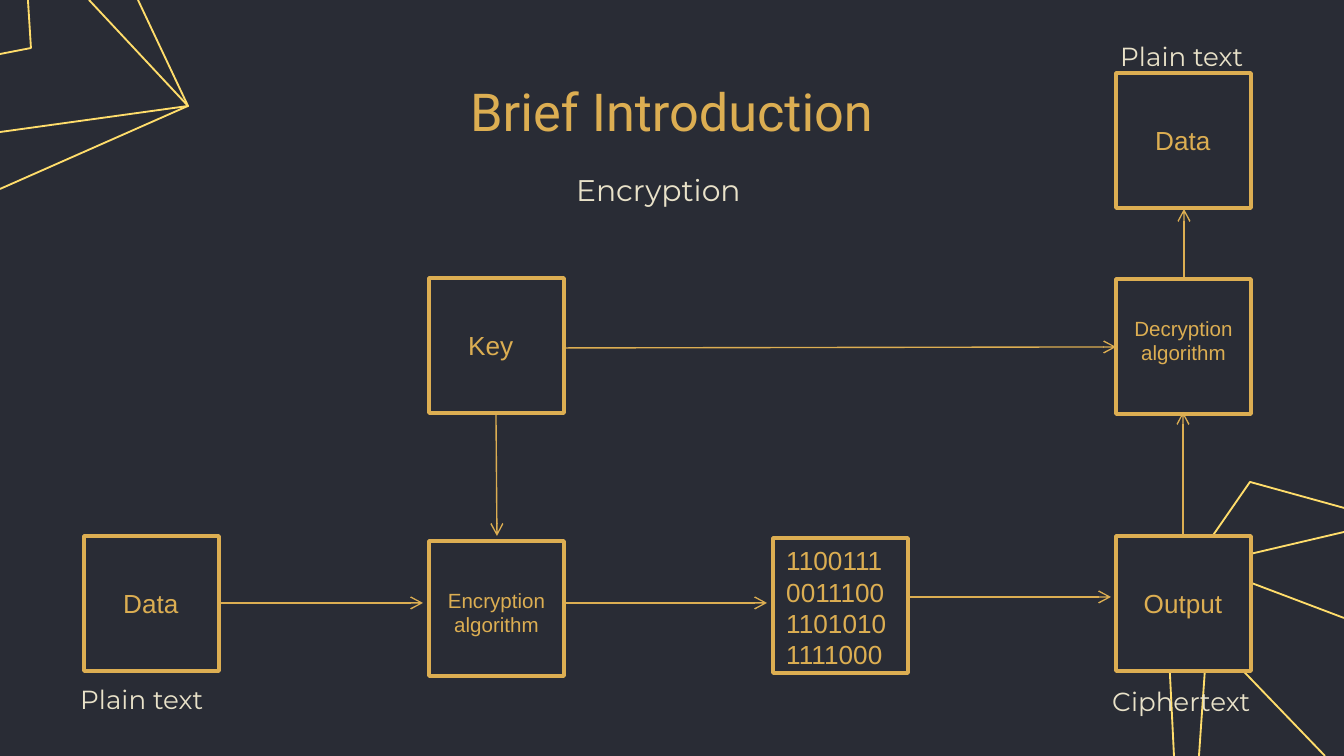
from lxml import etree
from pptx import Presentation
from pptx.dml.color import RGBColor
from pptx.enum.shapes import MSO_CONNECTOR, MSO_SHAPE
from pptx.enum.text import MSO_ANCHOR, PP_ALIGN
from pptx.oxml.ns import qn
from pptx.util import Emu, Pt

RECTANGLE = MSO_SHAPE.RECTANGLE
STRAIGHT = MSO_CONNECTOR.STRAIGHT
LEFT, CENTER = PP_ALIGN.LEFT, PP_ALIGN.CENTER
TOP, MIDDLE = MSO_ANCHOR.TOP, MSO_ANCHOR.MIDDLE

DARK = RGBColor(0x29, 0x2C, 0x35)
GOLD = RGBColor(0xDC, 0xAE, 0x52)
BRIGHT_GOLD = RGBColor(0xFF, 0xDD, 0x6B)
CREAM = RGBColor(0xE9, 0xE2, 0xC9)

SLIDE_WIDTH, SLIDE_HEIGHT = 1344, 756
SCALE = 9144000 / SLIDE_WIDTH
BOX_SIZE = 135

# Content: box corner, label, label rectangle relative to the box, size, alignment
BOXES = [
    ((84, 536), "Data", (26, 45, 83, 46), 14, LEFT),
    ((429, 278), "Key", (26, 45, 83, 46), 14, LEFT),
    ((429, 541), "Encryption algorithm", (0, 40, 135, 63), 11, CENTER),
    ((773, 538), "1100111001110011010101111000", (0, 0, 135, 140), 14, LEFT),
    ((1116, 536), "Output", (12, 45, 110, 46), 14, CENTER),
    ((1116, 279), "Decryption algorithm", (0, 30, 135, 95), 11, CENTER),
    ((1116, 73), "Data", (26, 45, 83, 46), 14, LEFT),
]
CAPTIONS = [
    ("Encryption", (563, 165, 194, 50), 16),
    ("Plain text", (67, 677, 152, 46), 14),
    ("Ciphertext", (1099, 679, 167, 46), 14),
    ("Plain text", (1107, 34, 152, 46), 14),
]
ARROWS = [
    ((219, 603), (423, 603)),
    ((496, 412), (497, 536)),
    ((564, 603), (767, 603)),
    ((907, 597), (1111, 597)),
    ((1183, 536), (1183, 412)),
    ((564, 348), (1116, 347)),
    ((1184, 279), (1184, 209)),
]
CORNER_LINES = [
    [(28, 0), (31, 48), (0, 54)],
    [(89, 0), (188, 106), (0, 189)],
    [(138, 0), (188, 106), (0, 132)],
    [(1199, 756), (1212, 568), (1344, 618)],
    [(1174, 756), (1165, 574), (1344, 532)],
    [(1344, 508), (1250, 482), (1171, 596), (1325, 756)],
]


def px(*lengths):
    return [Emu(round(length * SCALE)) for length in lengths]


def write_text(frame, text, *, size, font, color, align=LEFT, anchor=TOP, wrap=True):
    frame.word_wrap = wrap
    frame.vertical_anchor = anchor
    paragraph = frame.paragraphs[0]
    paragraph.alignment = align
    run = paragraph.add_run()
    run.text = text
    run.font.size = Pt(size)
    run.font.name = font
    run.font.color.rgb = color


def add_label(slide, rectangle, text, **text_format):
    shape = slide.shapes.add_textbox(*px(*rectangle))
    write_text(shape.text_frame, text, **text_format)


def add_corner_line(slide, points):
    builder = slide.shapes.build_freeform(*points[0], scale=SCALE)
    builder.add_line_segments(points[1:], close=False)
    shape = builder.convert_to_shape()
    shape.shadow.inherit = False
    shape.fill.background()
    shape.line.color.rgb = BRIGHT_GOLD
    shape.line.width = Pt(1)


def add_box(slide, left, top):
    shape = slide.shapes.add_shape(RECTANGLE, *px(left, top, BOX_SIZE, BOX_SIZE))
    shape.shadow.inherit = False
    shape.fill.solid()
    shape.fill.fore_color.rgb = DARK
    shape.line.color.rgb = GOLD
    shape.line.width = Pt(2)


def add_arrow(slide, start, end):
    connector = slide.shapes.add_connector(STRAIGHT, *px(*start, *end))
    connector.line.color.rgb = GOLD
    connector.line.width = Pt(0.75)
    properties = connector.element.spPr
    etree.SubElement(properties.find(qn("a:ln")), qn("a:tailEnd"), type="arrow")
    etree.SubElement(properties, qn("a:effectLst"))


def main():
    presentation = Presentation()
    presentation.slide_width, presentation.slide_height = px(SLIDE_WIDTH, SLIDE_HEIGHT)
    slide = presentation.slides.add_slide(presentation.slide_layouts[5])
    slide.background.fill.solid()
    slide.background.fill.fore_color.rgb = DARK

    # Title
    title = slide.shapes.title
    title.left, title.top, title.width, title.height = px(293, 79, 757, 63)
    write_text(title.text_frame, "Brief Introduction", size=28, font="Roboto",
               color=GOLD, align=CENTER, anchor=MIDDLE)

    # Corner decoration, behind the diagram
    for points in CORNER_LINES:
        add_corner_line(slide, points)

    # Boxes with their labels
    for (left, top), text, (dx, dy, width, height), size, align in BOXES:
        add_box(slide, left, top)
        add_label(slide, (left + dx, top + dy, width, height), text,
                  size=size, font="Arial", color=GOLD, align=align)

    # Captions
    for text, rectangle, size in CAPTIONS:
        add_label(slide, rectangle, text, size=size, font="Montserrat",
                  color=CREAM, wrap=False)

    # Arrows
    for start, end in ARROWS:
        add_arrow(slide, start, end)

    presentation.save("out.pptx")


if __name__ == "__main__":
    main()
